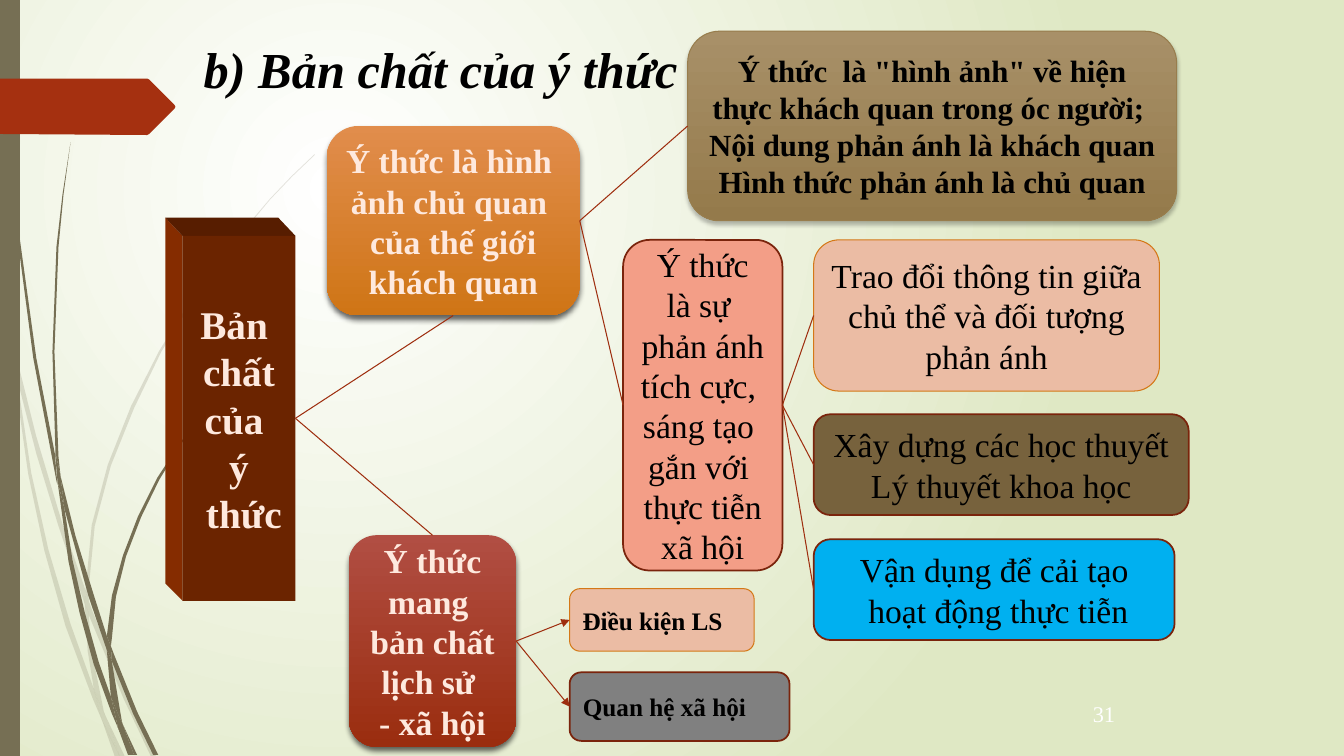
from lxml import etree
from pptx import Presentation
from pptx import util as u
from pptx.dml.color import RGBColor
from pptx.enum import shapes, text
from pptx.oxml import ns

FONT = "Times New Roman"
OLIVE, RUST, CREAM, BLACK = "766F54", "9E2E0F", "FEE9DE", "000000"


def rgb(value):
    return RGBColor.from_string(value)


def outline(canvas, points, colour):
    corners = [(u.Inches(x), u.Inches(y)) for x, y in points]
    builder = canvas.build_freeform(*corners[0], scale=1.0)
    builder.add_line_segments(corners[1:], close=True)
    piece = builder.convert_to_shape()
    piece.shadow.inherit = False
    piece.fill.solid()
    piece.fill.fore_color.rgb = rgb(colour)
    piece.line.fill.background()
    return piece


prs = Presentation()
prs.slide_width, prs.slide_height = u.Inches(13.33), u.Inches(7.5)
slide = prs.slides.add_slide(prs.slide_layouts[5])

backdrop = slide.background.fill
backdrop.gradient()
for stop, colour in zip(backdrop.gradient_stops, ("FFFFFF", "DFE8C4")):
    stop.color.rgb = rgb(colour)
glow = slide.background._cSld.find(".//" + ns.qn("a:gradFill"))
glow.remove(glow.find(ns.qn("a:lin")))
centre = etree.SubElement(glow, ns.qn("a:path"), path="circle")
etree.SubElement(centre, ns.qn("a:fillToRect"), l="50000", t="50000", r="100000", b="100000")

pale_grass = [
    [(.11, 3.5), (.09, 3.22), (0, 2.82), (0, 2.99), (.1, 3.44)],
    [(.58, 5.22), (.84, 5.99), (.85, 5.86), (.62, 5.2), (.36, 4.33), (.14, 3.45), (.17, 3.76), (.36, 4.5)],
    [(.92, 6.07), (.88, 5.96), (.88, 6.1), (1.23, 6.94), (1.5, 7.51), (1.55, 7.51), (1.27, 6.92)],
    [(1.19, 7.51), (1.24, 7.51), (1.05, 7.11)],
    [(.93, 6.83), (.7, 6.19), (.48, 5.45), (.31, 4.69), (.17, 3.76), (.11, 3.5), (.28, 4.7),
     (.44, 5.46), (.65, 6.21), (.92, 6.93), (1.01, 7.14), (.99, 7.07)],
    [(.84, 5.99), (.87, 6.46), (.93, 6.83), (.96, 6.92), (1.05, 7.11), (1.03, 7.06), (.91, 6.46),
     (.88, 6.1), (.88, 6.08)],
    [(.88, 5.84), (.94, 5.22), (1.1, 4.62), (1.33, 4.05), (1.6, 3.49), (1.93, 2.96), (2.29, 2.45),
     (2.68, 1.98), (2.9, 1.75), (3.12, 1.54), (3.12, 1.53), (2.89, 1.75), (2.68, 1.97), (2.28, 2.44),
     (1.91, 2.95), (1.58, 3.48), (1.3, 4.03), (1.07, 4.61), (.91, 5.21), (.85, 5.84), (.85, 5.86), (.88, 5.96)],
    [(1.01, 7.14), (1.14, 7.51), (1.19, 7.51)],
    [(.88, 6.08), (.88, 6.1), (.88, 5.96), (.85, 5.86), (.84, 5.99)],
    [(.96, 6.92), (.93, 6.83), (.99, 7.07), (1.01, 7.14), (1.19, 7.51), (1.05, 7.11)],
]
dark_grass = [
    [(.07, 1.1), (.17, 2.33), (.33, 3.55), (.56, 4.77), (.57, 4.81), (.55, 4.57), (.55, 4.53),
     (.36, 3.55), (.19, 2.32), (.08, 1.09), (.05, .48), (.04, 0), (.03, 0), (.04, .48)],
    [(.88, 5.92), (1.06, 6.45), (1.06, 6.31), (.93, 5.9), (.75, 5.32), (.6, 4.72), (.64, 5.05)],
    [(1.13, 6.49), (1.1, 6.41), (1.11, 6.56), (1.32, 7.08), (1.52, 7.49), (1.57, 7.49), (1.36, 7.06)],
    [(1.1, 6.91), (.98, 6.57), (.84, 6.07), (.72, 5.56), (.64, 5.05), (.57, 4.77), (.68, 5.57),
     (.79, 6.08), (.93, 6.59), (1.11, 7.08), (1.17, 7.22), (1.16, 7.17)],
    [(.6, 4.72), (.58, 4.53), (.54, 3.49), (.58, 2.45), (.63, 1.93), (.7, 1.41), (.62, 1.93),
     (.56, 2.45), (.52, 3.49), (.55, 4.49)],
    [(1.33, 7.49), (1.36, 7.49), (1.22, 7.19)],
    [(.57, 4.77), (.64, 5.05), (.6, 4.72), (.55, 4.49), (.55, 4.53)],
    [(1.11, 6.33), (1.15, 5.92), (1.25, 5.52), (1.4, 5.13), (1.58, 4.76), (1.8, 4.4), (2.05, 4.06),
     (2.31, 3.74), (2.61, 3.44), (2.6, 3.44), (2.31, 3.73), (2.04, 4.05), (1.79, 4.39), (1.56, 4.74),
     (1.37, 5.12), (1.22, 5.51), (1.11, 5.91), (1.06, 6.31), (1.1, 6.41)],
    [(1.17, 7.22), (1.27, 7.49), (1.31, 7.49)],
    [(1.06, 6.45), (1.1, 6.91), (1.16, 7.06), (1.22, 7.19), (1.21, 7.16), (1.11, 6.56), (1.09, 6.51)],
    [(1.06, 6.45), (1.09, 6.51), (1.11, 6.56), (1.1, 6.41), (1.06, 6.31)],
    [(1.16, 7.06), (1.1, 6.91), (1.16, 7.17), (1.17, 7.22), (1.3, 7.49), (1.33, 7.49), (1.22, 7.19)],
]
for blades, opacity in ((pale_grass, 20), (dark_grass, 100)):
    clump = slide.shapes.add_group_shape().shapes
    for blade in blades:
        stalk = outline(clump, blade, OLIVE)
        if opacity < 100:
            tint = stalk._element.spPr.find(".//" + ns.qn("a:srgbClr"))
            etree.SubElement(tint, ns.qn("a:alpha"), val=str(opacity * 1000))

outline(slide.shapes, [(0, 0), (.2, 0), (.2, 7.5), (0, 7.5)], OLIVE)
outline(slide.shapes, [(0, .78), (1.46, .78), (1.48, .79), (1.73, 1.04), (1.74, 1.06), (1.73, 1.08),
                       (1.48, 1.33), (1.46, 1.34), (0, 1.33)], "A53010")
outline(slide.shapes, [(1.64, 2.16), (1.81, 2.34), (1.81, 5.96), (1.64, 5.79)], "852C00")
outline(slide.shapes, [(1.64, 2.16), (2.76, 2.16), (2.93, 2.34), (1.81, 2.34)], "571D00")

heading = slide.shapes.title
heading.left, heading.top, heading.width, heading.height = map(u.Inches, (1.92, .33, 5.08, .71))
heading.text = "b) Bản chất của ý thức"
heading.text_frame.word_wrap = False
heading.text_frame.auto_size = text.MSO_AUTO_SIZE.NONE
heading.text_frame.vertical_anchor = text.MSO_ANCHOR.TOP

number = slide.shapes.add_textbox(*map(u.Inches, (10.6, 6.9, .7, .4)))
number.text_frame.word_wrap = True
number.text_frame.text = "31"
for caption, size, colour, strong, align in (
        (heading, 36, BLACK, True, text.PP_ALIGN.LEFT),
        (number, 16, "FFFFFF", False, text.PP_ALIGN.CENTER)):
    line = caption.text_frame.paragraphs[0]
    line.alignment = align
    line.font.name, line.font.size = FONT, u.Pt(size)
    line.font.bold = line.font.italic = strong
    line.font.color.rgb = rgb(colour)

ideas = {
    "essence": ((1.81, 2.34, 1.12, 3.62), ["6B2400"], None, None, 28, CREAM, True,
                ["Bản ", "chất", "của ", "ý", " thức"]),
    "image": ((3.24, 1.25, 2.51, 1.88), ["E18D4C", "CF7516"], None, (60, 4, 3), 24, CREAM, True,
              ["Ý thức là hình ", "ảnh chủ quan ", "của thế giới", "khách quan"]),
    "content": ((6.82, .31, 4.85, 1.88), ["A89068", "947A4B"], ("987D4D", .75), (25, 3, 2), 22, BLACK, True,
                ['Ý thức  là "hình ảnh" về hiện thực khách quan trong óc người; ',
                 "Nội dung phản ánh là khách quan", "Hình thức phản ánh là chủ quan"]),
    "creative": ((6.18, 2.38, 1.58, 3.28), ["F39E87"], ("7A240C", 1.25), None, 24, BLACK, False,
                 ["Ý thức là sự ", "phản ánh ", "tích cực, ", "sáng tạo ", "gắn với ", "thực tiễn ", "xã hội"]),
    "exchange": ((8.07, 2.38, 3.43, 1.5), ["EBBCA4"], ("D47817", .75), None, 24, BLACK, False,
                 ["Trao đổi thông tin giữa ", "chủ thể và đối tượng phản ánh"]),
    "theory": ((8.07, 4.11, 3.72, 1), ["77623D"], ("7A240C", 1.25), None, 24, BLACK, False,
               ["Xây dựng các học thuyết", "Lý thuyết khoa học"]),
    "practice": ((8.07, 5.35, 3.58, 1), ["00B0F0"], ("7A240C", 1.25), None, 24, BLACK, False,
                 ["Vận dụng để cải tạo", " hoạt động thực tiễn"]),
    "social": ((3.46, 5.31, 1.66, 2.1), ["B14E43", "9A2D0F"], None, (60, 4, 3), 24, CREAM, True,
               ["Ý thức mang ", "bản chất ", "lịch sử ", "- xã hội"]),
    "history": ((5.65, 5.84, 1.83, .62), ["EBBCA4"], ("D47817", .75), None, 18, BLACK, True, ["Điều kiện LS"]),
    "relations": ((5.65, 6.67, 2.18, .68), ["808080"], ("7A240C", 1.25), None, 18, BLACK, True, ["Quan hệ xã hội"]),
}
boxes = {}
for idea, (place, fills, border, shade, size, ink, bold, lines) in ideas.items():
    preset = shapes.MSO_SHAPE.RECTANGLE if idea == "essence" else shapes.MSO_SHAPE.ROUNDED_RECTANGLE
    box = boxes[idea] = slide.shapes.add_shape(preset, *map(u.Inches, place))
    box.shadow.inherit = False
    if len(fills) == 1:
        box.fill.solid()
        box.fill.fore_color.rgb = rgb(fills[0])
    else:
        box.fill.gradient()
        box.fill.gradient_angle = 270
        for stop, colour in zip(box.fill.gradient_stops, fills):
            stop.color.rgb = rgb(colour)
    if border:
        box.line.color.rgb = rgb(border[0])
        box.line.width = u.Pt(border[1])
    else:
        box.line.fill.background()
    if shade:
        alpha, blur, distance = shade
        effects = box._element.spPr.find(ns.qn("a:effectLst"))
        drop = etree.SubElement(effects, ns.qn("a:outerShdw"), blurRad=str(u.Pt(blur)),
                                dist=str(u.Pt(distance)), dir="5400000", rotWithShape="0")
        black = etree.SubElement(drop, ns.qn("a:srgbClr"), val=BLACK)
        etree.SubElement(black, ns.qn("a:alpha"), val=str(alpha * 1000))
    frame = box.text_frame
    frame.word_wrap = idea != "essence"
    frame.vertical_anchor = text.MSO_ANCHOR.MIDDLE
    frame.text = "\n".join(lines)
    for line in frame.paragraphs:
        line.alignment = text.PP_ALIGN.LEFT if size == 18 else text.PP_ALIGN.CENTER
        line.font.name, line.font.size, line.font.bold = FONT, u.Pt(size), bold
        line.font.color.rgb = rgb(ink)

TOP, LEFT, BOTTOM, RIGHT = range(4)
branches = [
    ("image", "content", LEFT, False), ("image", "creative", LEFT, False),
    ("creative", "exchange", LEFT, False), ("creative", "theory", LEFT, False),
    ("creative", "practice", LEFT, False), ("essence", "image", BOTTOM, False),
    ("social", "history", LEFT, True), ("social", "relations", LEFT, True),
    ("essence", "social", TOP, False),
]
for parent, child, side, arrow in branches:
    branch = slide.shapes.add_connector(shapes.MSO_CONNECTOR.STRAIGHT, 0, 0, 0, 0)
    branch.begin_connect(boxes[parent], RIGHT)
    branch.end_connect(boxes[child], side)
    branch.line.color.rgb = rgb(RUST)
    branch.line.width = u.Pt(.75)
    if arrow:
        etree.SubElement(branch.line._get_or_add_ln(), ns.qn("a:tailEnd"), type="triangle")
    etree.SubElement(branch._element.spPr, ns.qn("a:effectLst"))

prs.save("out.pptx")
